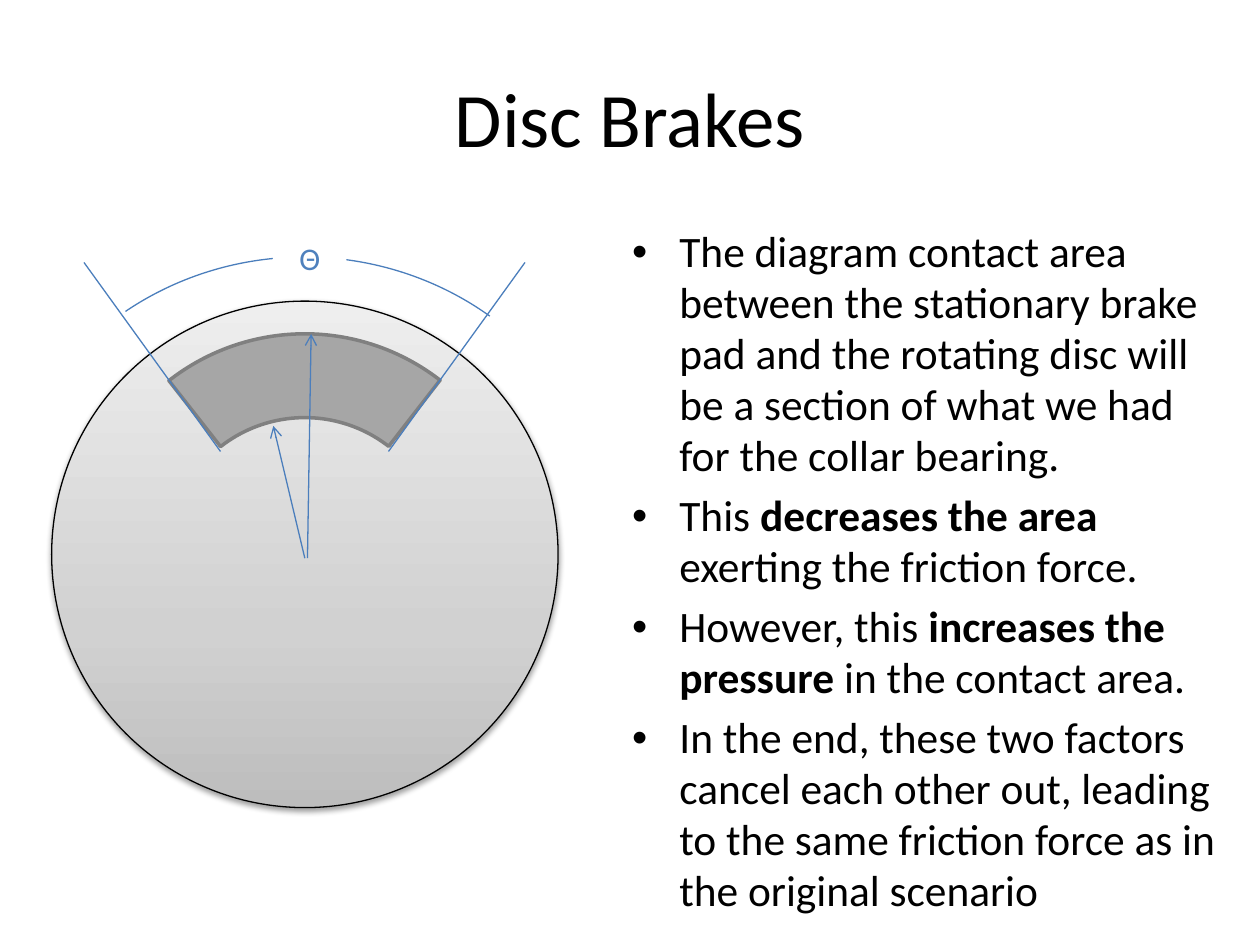
"""Build the Disc Brakes slide: a brake pad diagram beside a bullet list."""
from copy import deepcopy
from lxml import etree
from pptx import Presentation
from pptx.dml.color import RGBColor
from pptx.enum.shapes import MSO_CONNECTOR, MSO_SHAPE
from pptx.enum.text import MSO_ANCHOR, MSO_AUTO_SIZE, PP_ALIGN
from pptx.oxml import parse_xml
from pptx.oxml.ns import nsdecls, qn
from pptx.util import Pt

LINE = MSO_CONNECTOR.STRAIGHT
ARC, OVAL, PAD, RECT = (MSO_SHAPE.ARC, MSO_SHAPE.OVAL,
                        MSO_SHAPE.BLOCK_ARC, MSO_SHAPE.RECTANGLE)
MID, TOP = MSO_ANCHOR.MIDDLE, MSO_ANCHOR.TOP
NONE, CENTER = MSO_AUTO_SIZE.NONE, PP_ALIGN.CENTER
HUES = {
    "text": "000000", "blue": "4B7EBC", "theta": "4F81BD", "white": "FFFFFF",
    "pad": "A6A6A6", "edge": "808080",
    "low": "BDBDBD", "mid": "D1D1D1", "high": "EEEEEE",
}
RGB = {name: RGBColor.from_string(hue) for name, hue in HUES.items()}


def add_run(para, text, size, hue="text", bold=False):
    run = para.add_run()
    run.text = text
    font = run.font
    font.name, font.size, font.bold = "Calibri", Pt(size), bold
    font.color.rgb = RGB[hue]


def add_form(kind, box, fill=None, line=None, width=0.75):
    form = slide.shapes.add_shape(kind, *map(Pt, box))
    form.shadow.inherit = False
    if fill:
        form.fill.solid()
        form.fill.fore_color.rgb = RGB[fill]
    else:
        form.fill.background()
    if line:
        form.line.color.rgb = RGB[line]
        form.line.width = Pt(width)
    else:
        form.line.fill.background()
    return form


deck = Presentation()
deck.slide_width, deck.slide_height = Pt(720), Pt(540)
slide = deck.slides.add_slide(deck.slide_layouts[1])

title, body = slide.placeholders
for holder, box, anchor in (
    (title, (36, 21.6, 648, 90), MID),
    (body, (354, 126, 348, 390), TOP),
):
    holder.left, holder.top, holder.width, holder.height = map(Pt, box)
    frame = holder.text_frame
    frame.auto_size, frame.word_wrap = NONE, True
    frame.vertical_anchor = anchor

head = title.text_frame.paragraphs[0]
head.alignment = CENTER
add_run(head, "Disc Brakes", 44)

points = [
    [("The diagram contact area between the stationary brake pad and the "
      "rotating disc will be a section of what we had for the collar bearing.", False)],
    [("This ", False), ("decreases the area ", True),
     ("exerting the friction force.", False)],
    [("However, this ", False), ("increases the pressure", True),
     (" in the contact area.", False)],
    [("In the end, these two factors cancel each other out, leading to the "
      "same friction force as in the original scenario", False)],
]
frame = body.text_frame
frame.margin_right = Pt(5)
for i, runs in enumerate(points):
    para = frame.add_paragraph() if i else frame.paragraphs[0]
    para.space_before = Pt(5 if i else 0)
    para.line_spacing = 0.98
    for text, bold in runs:
        add_run(para, text, 24.8, bold=bold)

span = add_form(ARC, (-3.6, 146.9, 355, 341.3), line="blue")
span.adjustments[0], span.adjustments[1] = 140.27, 184.66

disc = add_form(OVAL, (29.5, 172.1, 289.4, 289.4), line="text")
disc.fill.gradient()
disc.fill.gradient_angle = 90
props = disc.element.spPr
stops = props.find(".//" + qn("a:gsLst"))
stops.insert(1, deepcopy(stops[0]))
for stop, place, hue in zip(disc.fill.gradient_stops, (0, 0.35, 1), ("low", "mid", "high")):
    stop.position = place
    stop.color.rgb = RGB[hue]
props.find(qn("a:effectLst")).append(parse_xml(
    f'<a:outerShdw {nsdecls("a")} blurRad="{Pt(3.1)}" dist="{Pt(1.6)}" '
    'dir="5400000" rotWithShape="0"><a:srgbClr val="000000">'
    '<a:alpha val="38000"/></a:srgbClr></a:outerShdw>'))

pad = add_form(PAD, (48.2, 190.8, 252, 252), "pad", "edge", 2)
for i, value in enumerate((139.18, 184.71, 0.19)):
    pad.adjustments[i] = value

label = add_form(RECT, (156, 133.2, 42, 29), "white")
frame = label.text_frame
frame.word_wrap, frame.vertical_anchor = True, TOP
para = frame.paragraphs[0]
para.alignment = CENTER
add_run(para, "Θ", 18, "theta")

for ends, arrow in (
    ((126, 258, 48, 150), False),
    ((222, 258, 300, 150), False),
    ((174.2, 319, 156.2, 243.4), True),
    ((175.7, 319, 177.8, 190.8), True),
):
    link = slide.shapes.add_connector(LINE, *map(Pt, ends))
    link.line.color.rgb = RGB["blue"]
    link.line.width = Pt(0.75)
    props = link.element.spPr
    etree.SubElement(props, qn("a:effectLst"))
    if arrow:
        etree.SubElement(props.find(qn("a:ln")), qn("a:tailEnd"), type="arrow")

deck.save("out.pptx")
